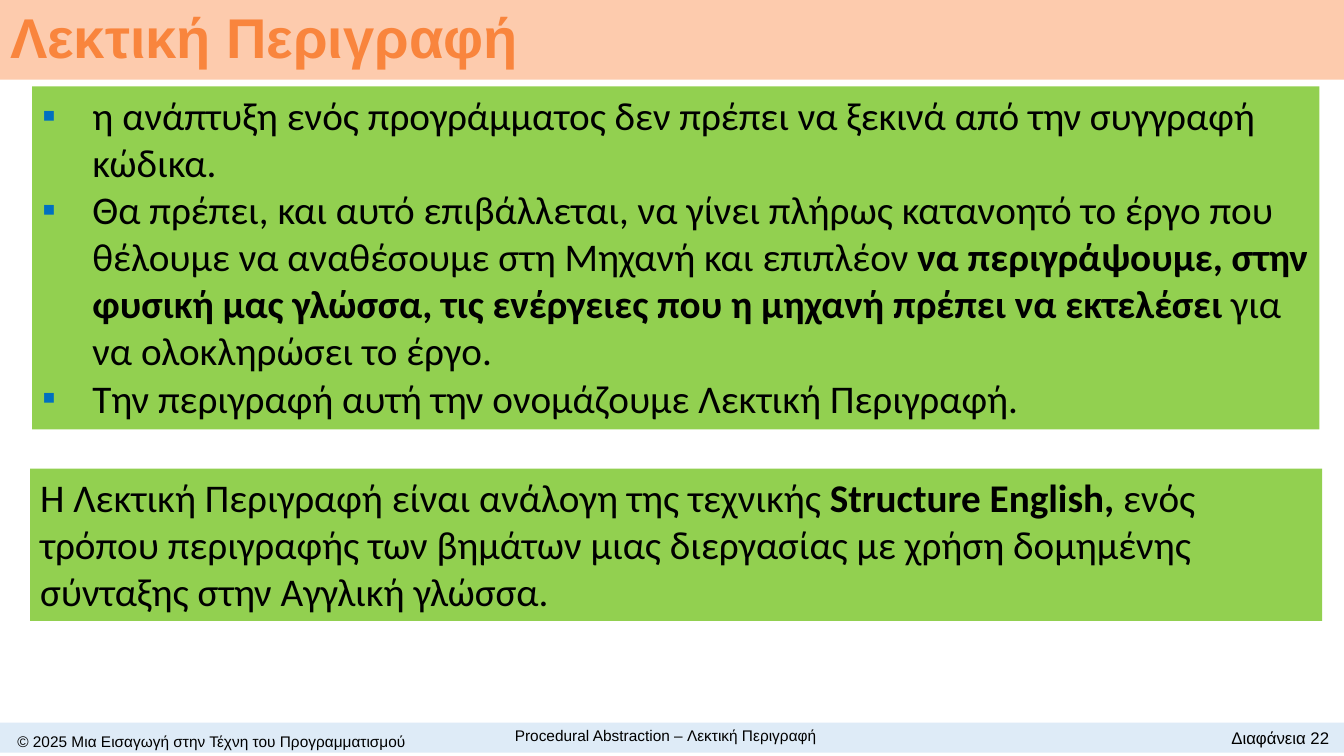
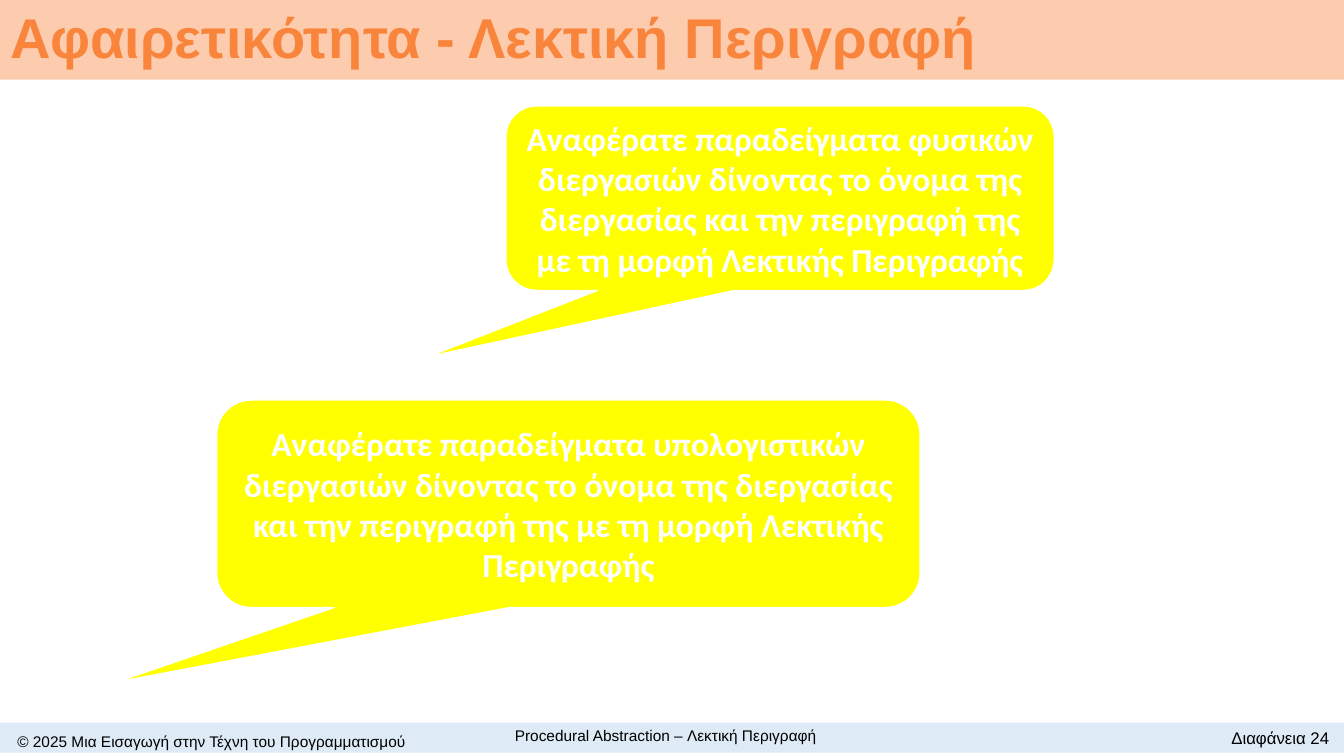
from lxml.etree import SubElement
from pptx import Presentation
from pptx.dml.color import RGBColor
from pptx.enum.shapes import MSO_SHAPE
from pptx.enum.text import MSO_ANCHOR, MSO_AUTO_SIZE, PP_ALIGN
from pptx.oxml.ns import qn
from pptx.util import Cm, Pt

COLORS = {
    "band": "FDCBAD", "title": "F9853D", "footer": "DEEBF7",
    "panel": "92D050", "bullet": "0070C0", "callout": "FFFF00",
    "black": "000000", "white": "FFFFFF",
}
WIDTH, HEIGHT = 33.87, 19.05
INDENT = Cm(1.27)
COURSE = "© 2025 Μια Εισαγωγή στην Τέχνη του Προγραμματισμού"
TOPIC = "Procedural Abstraction – Λεκτική Περιγραφή"

# Odd parts of a paragraph are bold
POINTS = [
    ["η ανάπτυξη ενός προγράμματος δεν πρέπει να ξεκινά από την συγγραφή κώδικα."],
    ["Θα πρέπει, και αυτό επιβάλλεται, να γίνει πλήρως κατανοητό το έργο που "
     "θέλουμε να αναθέσουμε στη Μηχανή και επιπλέον ",
     "να περιγράψουμε, στην φυσική μας γλώσσα, τις ενέργειες που η μηχανή "
     "πρέπει να εκτελέσει ",
     "για να ολοκληρώσει το έργο."],
    ["Την περιγραφή αυτή την ονομάζουμε Λεκτική Περιγραφή."],
]
REMARK = [
    ["Η Λεκτική Περιγραφή είναι ανάλογη της τεχνικής ",
     "Structure English, ",
     "ενός τρόπου περιγραφής των βημάτων μιας διεργασίας με χρήση δομημένης "
     "σύνταξης στην Αγγλική γλώσσα."],
]
TASK = ("Αναφέρατε παραδείγματα {} διεργασιών δίνοντας το όνομα της διεργασίας "
        "και την περιγραφή της με τη μορφή Λεκτικής Περιγραφής")


def color(name):
    return RGBColor.from_string(COLORS[name])


def style(font, size, tone, face, bold=False):
    font.size, font.name, font.bold = Pt(size), face, bold
    font.color.rgb = color(tone)


def shape(slide, kind, box, fill):
    """Add a filled shape without outline or shadow."""
    item = slide.shapes.add_shape(kind, *map(Cm, box))
    item.shadow.inherit = False
    item.fill.solid()
    item.fill.fore_color.rgb = color(fill)
    item.line.fill.background()
    return item


def bullet(para):
    props = para._p.get_or_add_pPr()
    props.set("marL", str(INDENT))
    props.set("indent", str(-INDENT))
    tint = SubElement(props, qn("a:buClr"))
    SubElement(tint, qn("a:srgbClr"), val=COLORS["bullet"])
    SubElement(props, qn("a:buFont"), typeface="Arial")
    SubElement(props, qn("a:buChar"), char="▪")


def panel(slide, box, paras, marked=False):
    """Add a green panel of paragraphs, with bullets if marked."""
    frame = shape(slide, MSO_SHAPE.RECTANGLE, box, "panel").text_frame
    frame.word_wrap = True
    frame.vertical_anchor = MSO_ANCHOR.TOP
    for i, parts in enumerate(paras):
        para = frame.add_paragraph() if i else frame.paragraphs[0]
        para.alignment = PP_ALIGN.LEFT
        if marked:
            bullet(para)
        for j, part in enumerate(parts):
            run = para.add_run()
            run.text = part
            style(run.font, 28, "black", "Calibri", j % 2 == 1)


def callout(slide, box, kind):
    item = shape(slide, MSO_SHAPE.ROUNDED_RECTANGULAR_CALLOUT, box, "callout")
    for i, value in enumerate((-0.643, 0.86, 0.167)):
        item.adjustments[i] = value
    item.line.color.rgb = color("white")
    item.line.width = Pt(1)
    frame = item.text_frame
    frame.word_wrap = True
    frame.vertical_anchor = MSO_ANCHOR.MIDDLE
    frame.text = TASK.format(kind)
    para = frame.paragraphs[0]
    para.alignment = PP_ALIGN.CENTER
    style(para.runs[0].font, 24, "white", "Calibri", True)


def label(slide, box, text, size, align):
    frame = slide.shapes.add_textbox(*map(Cm, box)).text_frame
    frame.word_wrap = True
    frame.vertical_anchor = MSO_ANCHOR.MIDDLE
    frame.text = text
    para = frame.paragraphs[0]
    para.alignment = align
    style(para.runs[0].font, size, "black", "Arial")


def footer(slide, number):
    shape(slide, MSO_SHAPE.RECTANGLE, (0, 18.21, WIDTH, 0.76), "footer")
    label(slide, (0, 18.34, 10.67, 0.66), COURSE, 11, PP_ALIGN.CENTER)
    label(slide, (10.34, 18.14, 12.88, 0.76), TOPIC, 11, PP_ALIGN.CENTER)
    label(slide, (28.52, 18.21, 5.23, 0.76), f"Διαφάνεια {number}", 12,
          PP_ALIGN.RIGHT)


def page(prs, text, number):
    """Add a slide with its title band and footer."""
    slide = prs.slides.add_slide(prs.slide_layouts[5])
    title = slide.shapes.title
    title.left, title.top = Cm(0), Cm(0)
    title.width, title.height = Cm(WIDTH), Cm(2.01)
    title.fill.solid()
    title.fill.fore_color.rgb = color("band")
    frame = title.text_frame
    frame.text = text
    frame.auto_size = MSO_AUTO_SIZE.NONE
    frame.vertical_anchor = MSO_ANCHOR.MIDDLE
    para = frame.paragraphs[0]
    para.alignment, para.line_spacing = PP_ALIGN.LEFT, 0.9
    style(para.runs[0].font, 40, "title", "Arial", True)
    footer(slide, number)
    return slide


def main():
    prs = Presentation()
    prs.slide_width, prs.slide_height = Cm(WIDTH), Cm(HEIGHT)

    # Definition
    slide = page(prs, "Λεκτική Περιγραφή", 22)
    panel(slide, (0.81, 2.18, 32.44, 8.64), POINTS, marked=True)
    panel(slide, (0.76, 11.81, 32.56, 3.84), REMARK)

    # Exercises
    slide = page(prs, "Αφαιρετικότητα - Λεκτική Περιγραφή", 24)
    callout(slide, (12.75, 2.67, 13.82, 4.65), "φυσικών")
    callout(slide, (5.46, 10.08, 17.73, 5.23), "υπολογιστικών")

    prs.save("out.pptx")


if __name__ == "__main__":
    main()
